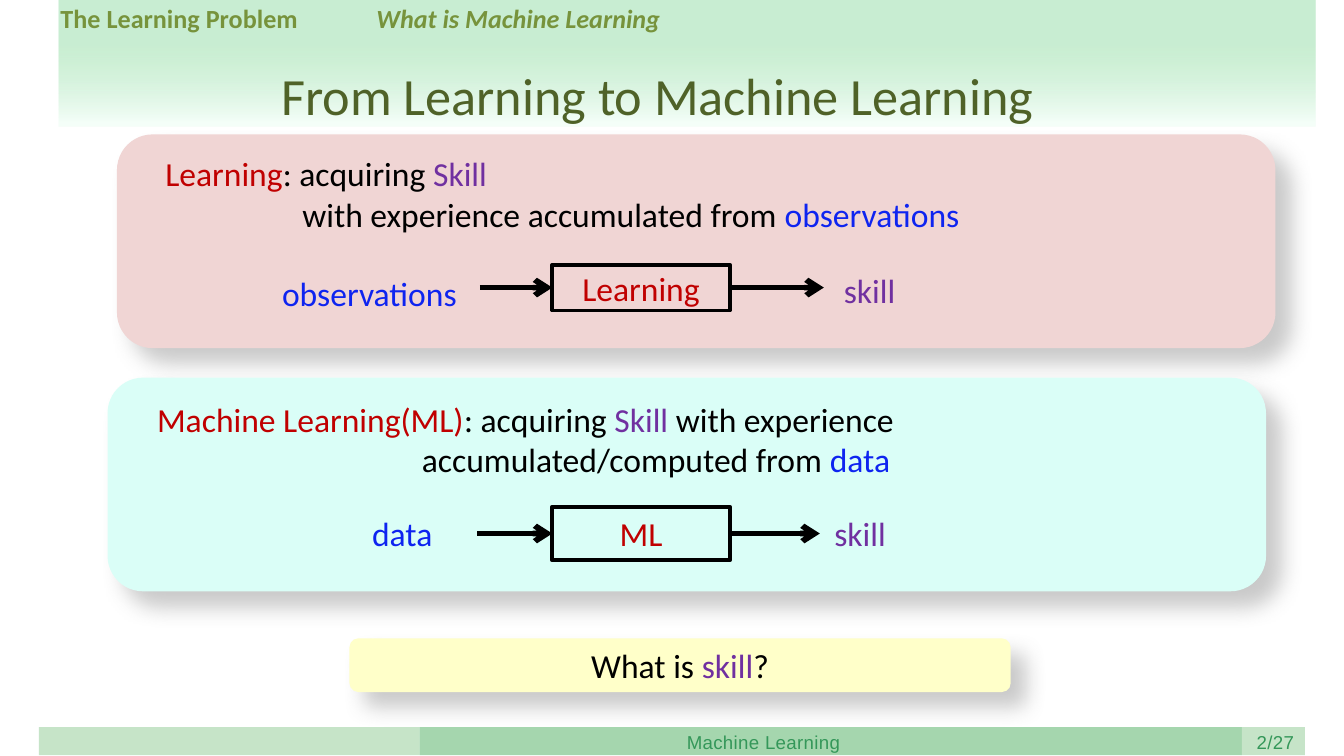
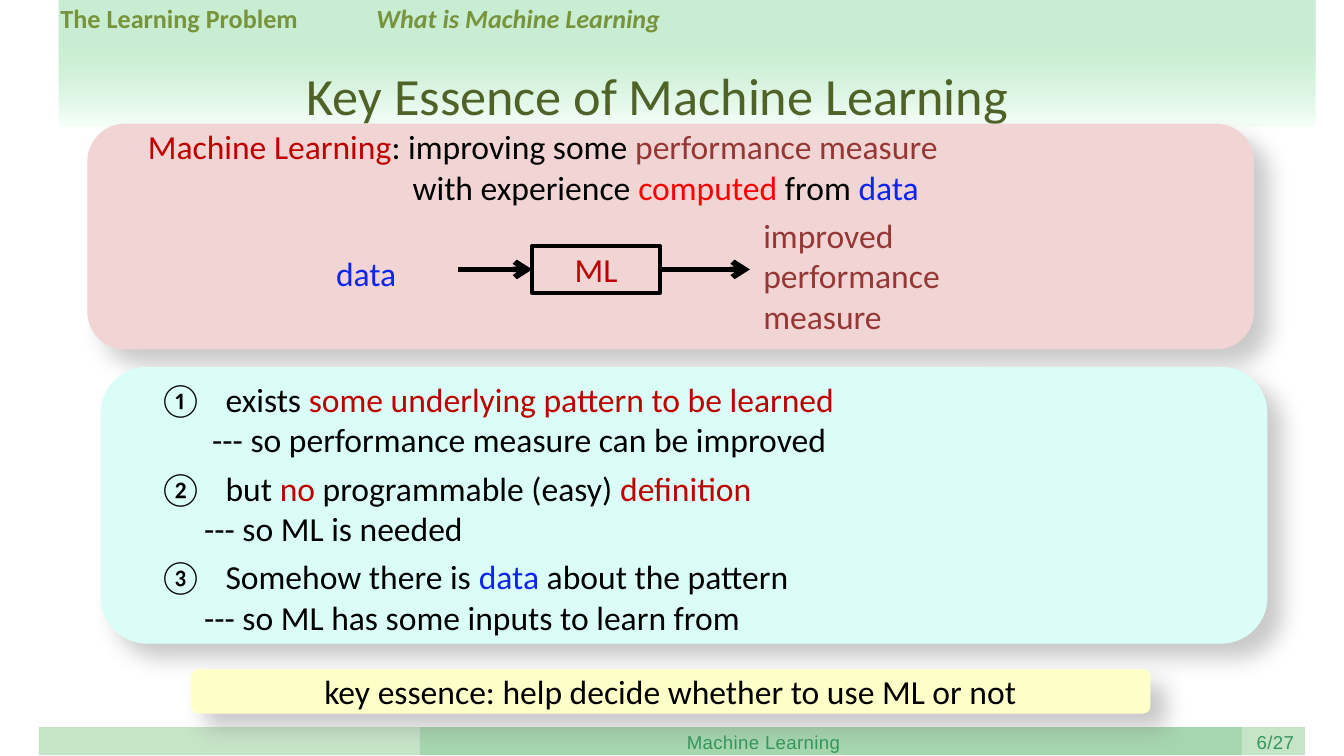
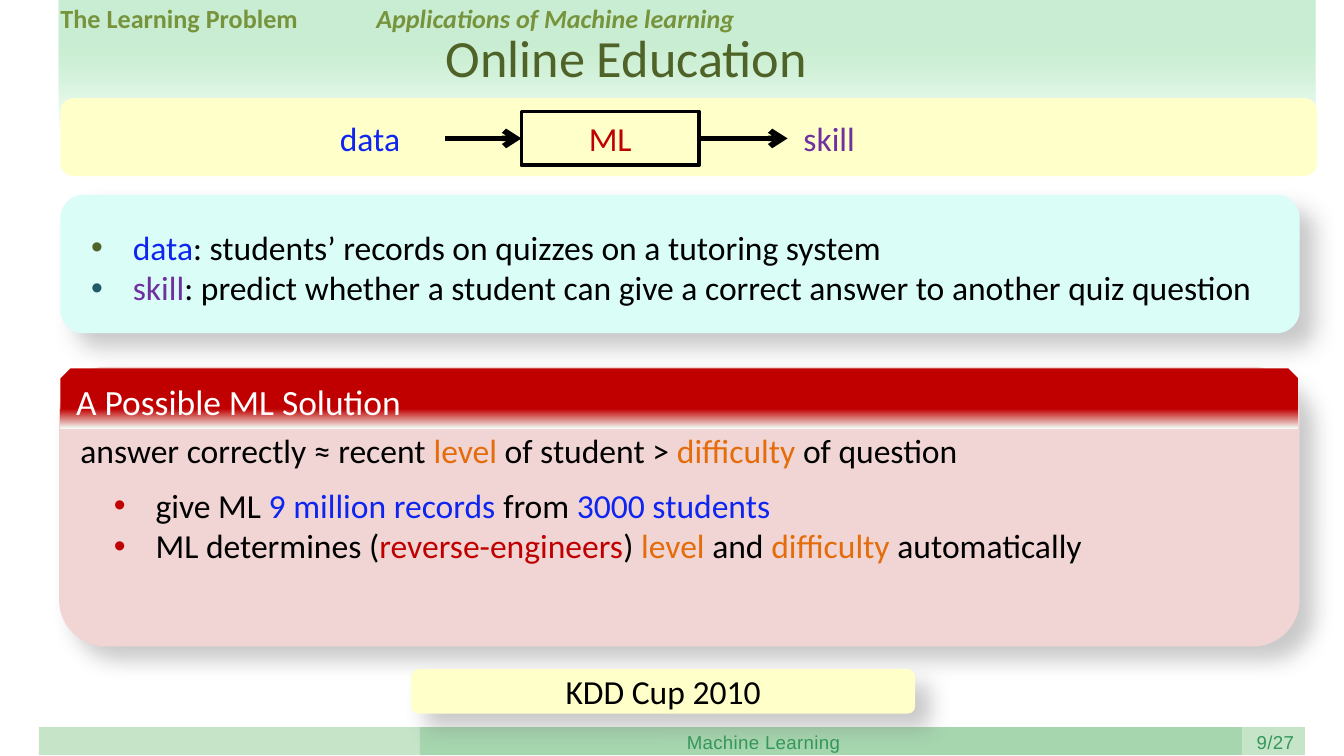
"""Build three slides of a machine learning lecture."""
from dataclasses import dataclass

from lxml import etree
from pptx import Presentation
from pptx.dml.color import RGBColor
from pptx.enum.shapes import MSO_CONNECTOR, MSO_SHAPE
from pptx.enum.text import MSO_ANCHOR, MSO_AUTO_SIZE, PP_ALIGN
from pptx.oxml.ns import qn
from pptx.shapes.autoshape import Shape
from pptx.slide import Slide
from pptx.text.text import TextFrame
from pptx.util import Inches, Pt

RECT = MSO_SHAPE.RECTANGLE
ROUND = MSO_SHAPE.ROUNDED_RECTANGLE
SNIP = MSO_SHAPE.SNIP_2_SAME_RECTANGLE
STRAIGHT = MSO_CONNECTOR.STRAIGHT
LEFT, CENTER = PP_ALIGN.LEFT, PP_ALIGN.CENTER
TOP, MIDDLE = MSO_ANCHOR.TOP, MSO_ANCHOR.MIDDLE
GROW = MSO_AUTO_SIZE.SHAPE_TO_FIT_TEXT


@dataclass(frozen=True)
class Theme:
    font: str = "Calibri"
    foot_font: str = "Arial"
    title: float = 28
    head: float = 19
    body: float = 18
    crumb: float = 14
    foot: float = 10
    black: str = "000000"
    white: str = "FFFFFF"
    red: str = "C00000"
    bright: str = "FF0000"
    brown: str = "953735"
    blue: str = "0E24F0"
    purple: str = "7030A0"
    orange: str = "E46C0A"
    olive: str = "4F6228"
    moss: str = "77933C"
    teal: str = "215968"
    green: str = "349759"
    mint: str = "ADE5BA"
    pale: str = "F4FEF8"
    band: str = "C6E4C8"
    band_mid: str = "A5D6AE"
    pink: str = "F0D5D4"
    aqua: str = "DAFEF7"
    cream: str = "FFFFC9"
    shade: str = "808080"


T = Theme()


@dataclass(frozen=True)
class Area:
    x: float
    y: float
    w: float
    h: float


@dataclass(frozen=True)
class Run:
    text: str
    color: str = T.black


@dataclass(frozen=True)
class Para:
    runs: tuple[Run, ...]
    left: float = 0
    hang: float = 0
    mark: str = ""
    tint: str = T.black


@dataclass(frozen=True)
class Style:
    size: float = T.body
    font: str = T.font
    bold: bool = False
    slant: bool = False
    space: int = 0
    align: PP_ALIGN = LEFT
    anchor: MSO_ANCHOR = TOP
    pad: tuple[float, float] = (0.1, 0.05)


@dataclass(frozen=True)
class Flow:
    area: Area
    name: str
    start: float
    end: float
    source: Run
    source_at: Area
    goal: Run
    goal_at: Area
    pad: tuple[float, float] = (0.1, 0.05)


SNUG = (0.08, 0.04)
BODY = Style()
CLOSE = Style(pad=SNUG)
TITLE = Style(T.title, align=CENTER, pad=SNUG)
CRUMB = Style(T.crumb, bold=True, pad=SNUG)
TOPIC = Style(T.crumb, bold=True, slant=True, pad=SNUG)
FOOT = Style(T.foot, T.foot_font, space=20, pad=(0, 0))
LABEL = Style(align=CENTER, anchor=MIDDLE)
HEAD = Style(T.head, anchor=MIDDLE, pad=SNUG)


def line_of(*runs: Run, left: float = 0, hang: float = 0, mark: str = "", tint: str = T.black) -> Para:
    """Make a paragraph from runs."""
    return Para(runs, left, hang, mark, tint)


def bounds(area: Area) -> tuple[Inches, Inches, Inches, Inches]:
    """Turn an area into lengths."""
    return Inches(area.x), Inches(area.y), Inches(area.w), Inches(area.h)


def write(frame: TextFrame, paras: list[Para], style: Style) -> None:
    """Fill a text frame run by run."""
    frame.word_wrap = True
    frame.vertical_anchor = style.anchor
    frame.margin_left = frame.margin_right = Inches(style.pad[0])
    frame.margin_top = frame.margin_bottom = Inches(style.pad[1])
    for i, para in enumerate(paras):
        item = frame.add_paragraph() if i else frame.paragraphs[0]
        item.alignment = style.align
        props = item._p.get_or_add_pPr()
        props.set("marL", str(Inches(para.left)))
        props.set("indent", str(Inches(-para.hang)))
        if para.mark:
            tint = etree.SubElement(props, qn("a:buClr"))
            etree.SubElement(tint, qn("a:srgbClr"), val=para.tint)
            etree.SubElement(props, qn("a:buFont"), typeface=T.foot_font)
            if para.mark.isdigit():
                etree.SubElement(props, qn("a:buAutoNum"), type="circleNumDbPlain", startAt=para.mark)
            else:
                etree.SubElement(props, qn("a:buChar"), char=para.mark)
        for part in para.runs:
            run = item.add_run()
            run.text = part.text
            run.font.name = style.font
            run.font.size = Pt(style.size)
            run.font.bold = style.bold
            run.font.italic = style.slant
            run.font.color.rgb = RGBColor.from_string(part.color)
            if style.space:
                run._r.get_or_add_rPr().set("spc", str(style.space))


def add_text(slide: Slide, area: Area, paras: list[Para], style: Style = BODY) -> None:
    """Add a text box."""
    frame = slide.shapes.add_textbox(*bounds(area)).text_frame
    write(frame, paras, style)
    frame.auto_size = GROW


def add_box(slide: Slide, area: Area, fill: str = "", kind: MSO_SHAPE = RECT) -> Shape:
    """Add a plain shape with no line."""
    box = slide.shapes.add_shape(kind, *bounds(area))
    box.shadow.inherit = False
    box.line.fill.background()
    if fill:
        box.fill.solid()
        box.fill.fore_color.rgb = RGBColor.from_string(fill)
    else:
        box.fill.background()
    return box


def fade(box: Shape, first: tuple[float, str], last: tuple[float, str]) -> None:
    """Fill a shape with a fade from top to bottom."""
    box.fill.gradient()
    box.fill.gradient_angle = 270
    for stop, (place, color) in zip(box.fill.gradient_stops, (first, last)):
        stop.position = place
        stop.color.rgb = RGBColor.from_string(color)


def add_card(slide: Slide, area: Area, fill: str) -> Shape:
    """Add a round card with a soft shadow."""
    card = add_box(slide, area, fill, ROUND)
    effects = card.element.spPr.find(qn("a:effectLst"))
    glow = etree.SubElement(
        effects, qn("a:outerShdw"), blurRad=str(Inches(0.16)),
        dist=str(Inches(0.15)), dir="2700000", algn="ctr", rotWithShape="0")
    color = etree.SubElement(glow, qn("a:srgbClr"), val=T.shade)
    etree.SubElement(color, qn("a:alpha"), val="42000")
    return card


def add_note(slide: Slide, area: Area, *runs: Run) -> None:
    """Add a cream card with a centred line."""
    write(add_card(slide, area, T.cream).text_frame, [Para(runs)], LABEL)


def add_arrow(slide: Slide, box: Shape, side: int, x: float, y: float) -> None:
    """Add an arrow into the left or out of the right side of a box."""
    spot = Inches(x), Inches(y)
    arrow = slide.shapes.add_connector(STRAIGHT, *spot, *spot)
    if side == 1:
        arrow.end_connect(box, side)
    else:
        arrow.begin_connect(box, side)
    arrow.line.width = Pt(3)
    arrow.line.color.rgb = RGBColor.from_string(T.black)
    props = arrow.element.spPr
    etree.SubElement(props.find(qn("a:ln")), qn("a:tailEnd"), type="arrow")
    etree.SubElement(props, qn("a:effectLst"))


def add_flow(slide: Slide, flow: Flow) -> None:
    """Draw a source, a framed step and a goal joined by arrows."""
    style = Style(pad=flow.pad)
    add_text(slide, flow.source_at, [line_of(flow.source)], style)
    add_text(slide, flow.goal_at, [line_of(flow.goal)], style)
    box = add_box(slide, flow.area)
    box.line.width = Pt(2)
    box.line.color.rgb = RGBColor.from_string(T.black)
    write(box.text_frame, [line_of(Run(flow.name, T.red))], LABEL)
    mid = flow.area.y + flow.area.h / 2
    add_arrow(slide, box, 1, flow.start, mid)
    add_arrow(slide, box, 3, flow.end, mid)


def add_page(deck: Presentation, topic: str, page: str) -> Slide:
    """Add a slide with its top band and footer."""
    slide = deck.slides.add_slide(deck.slide_layouts[6])
    band = add_box(slide, Area(0.44, -0.02, 9.35, 0.96))
    fade(band, (0.37, T.mint), (0.96, T.pale))
    first = band.element.spPr.find(".//" + qn("a:srgbClr"))
    etree.SubElement(first, qn("a:alpha"), val="65000")
    x = 0.29
    for width, color in ((2.83, T.band), (6.12, T.band_mid), (0.47, T.band)):
        add_box(slide, Area(x, 5.41, width, 0.21), color)
        x += width
    for left, wide, text in ((5.11, 2.15, "Machine Learning"), (9.35, 0.36, page)):
        add_text(slide, Area(left, 5.44, wide, 0.17), [line_of(Run(text, T.green))], FOOT)
    add_text(slide, Area(0.37, -0.02, 2.35, 0.31), [line_of(Run("The Learning Problem", T.moss))], CRUMB)
    add_text(slide, Area(2.72, -0.02, 3.06, 0.31), [line_of(Run(topic, T.moss))], TOPIC)
    return slide


def add_title(slide: Slide, text: str, x: float = 1.65, y: float = 0.43) -> None:
    """Add the slide title."""
    add_text(slide, Area(x, y, 6.48, 0.55), [line_of(Run(text, T.olive))], TITLE)


def build_intro(deck: Presentation) -> None:
    """Build the slide on learning and machine learning."""
    slide = add_page(deck, "What is Machine Learning", "2/27")
    add_title(slide, "From Learning to Machine Learning")
    add_card(slide, Area(0.87, 1, 8.62, 1.59), T.pink)
    add_text(slide, Area(1.15, 1.1, 7.98, 0.68), [
        line_of(Run("Learning", T.red), Run(": acquiring "), Run("Skill", T.purple)),
        line_of(Run("with experience accumulated from "), Run("observations", T.blue), left=1.02),
    ], CLOSE)
    add_flow(slide, Flow(
        Area(4.11, 1.97, 1.32, 0.34), "Learning", 3.57, 6.13,
        Run("observations", T.blue), Area(2, 1.98, 1.59, 0.4),
        Run("skill", T.purple), Area(6.18, 1.96, 1.87, 0.4)))
    add_card(slide, Area(0.8, 2.81, 8.62, 1.59), T.aqua)
    add_text(slide, Area(1.07, 2.92, 7.98, 0.71), [
        line_of(Run("Machine Learning(ML)", T.red), Run(": acquiring "),
                Run("Skill ", T.purple), Run("with experience")),
        line_of(Run("accumulated/computed from "), Run("data", T.blue), left=1.97),
    ])
    add_flow(slide, Flow(
        Area(4.11, 3.77, 1.32, 0.4), "ML", 3.55, 6.1,
        Run("data", T.blue), Area(2.67, 3.77, 0.85, 0.4),
        Run("skill", T.purple), Area(6.11, 3.77, 1.87, 0.4)))
    add_note(slide, Area(2.6, 4.75, 4.92, 0.4), Run("What is "), Run("skill", T.purple), Run("?"))


def build_key(deck: Presentation) -> None:
    """Build the slide on when to use machine learning."""
    slide = add_page(deck, "What is Machine Learning", "6/27")
    add_title(slide, "Key Essence of Machine Learning")
    add_card(slide, Area(0.65, 0.92, 8.68, 1.68), T.pink)
    add_flow(slide, Flow(
        Area(3.96, 1.83, 0.95, 0.35), "ML", 3.41, 5.58,
        Run("data", T.blue), Area(2.42, 1.84, 1.02, 0.38),
        Run("improved performance measure", T.brown), Area(5.6, 1.56, 1.87, 0.99), SNUG))
    add_text(slide, Area(1.02, 0.9, 7.98, 0.68), [
        line_of(Run("Machine Learning", T.red), Run(": improving some "),
                Run("performance measure", T.brown)),
        line_of(Run("with experience "), Run("computed", T.bright), Run(" from "),
                Run("data", T.blue), left=1.97),
    ], CLOSE)
    add_card(slide, Area(0.75, 2.73, 8.68, 2.06), T.aqua)
    points = (
        ((Run("exists "), Run("some underlying pattern to be learned", T.red)),
         "--- so performance measure can be improved", 0.4),
        ((Run("but "), Run("no", T.red), Run(" programmable (easy) "), Run("definition", T.red)),
         "--- so ML is needed", 0.34),
        ((Run("Somehow there is "), Run("data", T.blue), Run(" about the pattern")),
         "--- so ML has some inputs to learn from", 0.34),
    )
    for i, (runs, reason, left) in enumerate(points):
        add_text(slide, Area(1.08, 2.77 + 0.66 * i, 7.12, 0.71), [
            Para(runs, 0.5, 0.5, str(i + 1)), line_of(Run(reason), left=left)])
    add_note(slide, Area(1.42, 4.98, 7.14, 0.33),
             Run("key essence: help decide whether to use ML or not"))


def build_school(deck: Presentation) -> None:
    """Build the slide on online education."""
    slide = add_page(deck, "Applications of Machine learning", "9/27")
    add_box(slide, Area(0.45, 0.73, 9.35, 0.58), T.cream, ROUND)
    add_flow(slide, Flow(
        Area(3.88, 0.83, 1.32, 0.4), "ML", 3.31, 5.86,
        Run("data", T.blue), Area(2.43, 0.83, 0.85, 0.4),
        Run("skill", T.purple), Area(5.88, 0.83, 1.87, 0.4)))
    add_title(slide, "Online Education", 1.42, 0.15)
    add_card(slide, Area(0.45, 1.45, 9.22, 1.03), T.aqua)
    add_text(slide, Area(0.58, 1.64, 8.92, 0.71), [
        line_of(Run("data", T.blue), Run(": students’ records on quizzes on a tutoring system"),
                left=0.31, hang=0.31, mark="•", tint=T.olive),
        line_of(Run("skill", T.purple),
                Run(": predict whether a student can give a correct answer to another quiz question"),
                left=0.31, hang=0.31, mark="•", tint=T.teal),
    ])
    add_card(slide, Area(0.44, 2.73, 9.23, 2.08), T.pink)
    head = add_box(slide, Area(0.45, 2.74, 9.21, 0.45), kind=SNIP)
    fade(head, (0.67, T.red), (1, T.pale))
    write(head.text_frame, [line_of(Run("A Possible ML Solution", T.white))], HEAD)
    level, hard = Run("level", T.orange), Run("difficulty", T.orange)
    add_text(slide, Area(0.5, 3.15, 8, 0.4), [
        line_of(Run("answer correctly ≈ recent "), level, Run(" of student > "), hard,
                Run(" of question"))])
    add_text(slide, Area(0.75, 3.56, 8.17, 0.71), [
        Para(runs, 0.31, 0.31, "•", T.red) for runs in (
            (Run("give ML "), Run("9 million records ", T.blue), Run("from "),
             Run("3000 students", T.blue)),
            (Run("ML determines ("), Run("reverse-engineers", T.red), Run(") "), level,
             Run(" and "), hard, Run(" automatically")),
        )])
    add_note(slide, Area(3.06, 4.98, 3.75, 0.33), Run("KDD Cup 2010"))


def main() -> None:
    """Build and save the deck."""
    deck = Presentation()
    deck.slide_width = Inches(10)
    deck.slide_height = Inches(10 * 9 / 16)
    for build in (build_intro, build_key, build_school):
        build(deck)
    deck.save("out.pptx")


if __name__ == "__main__":
    main()
